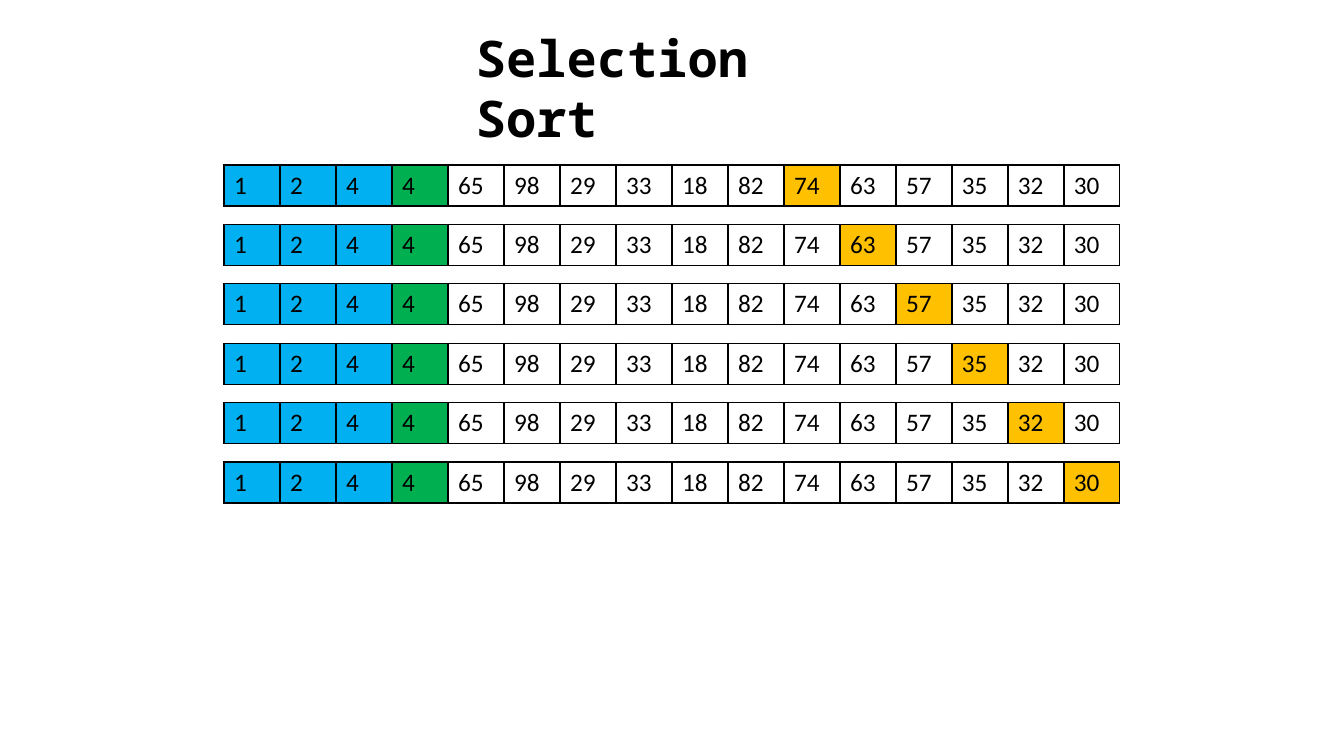
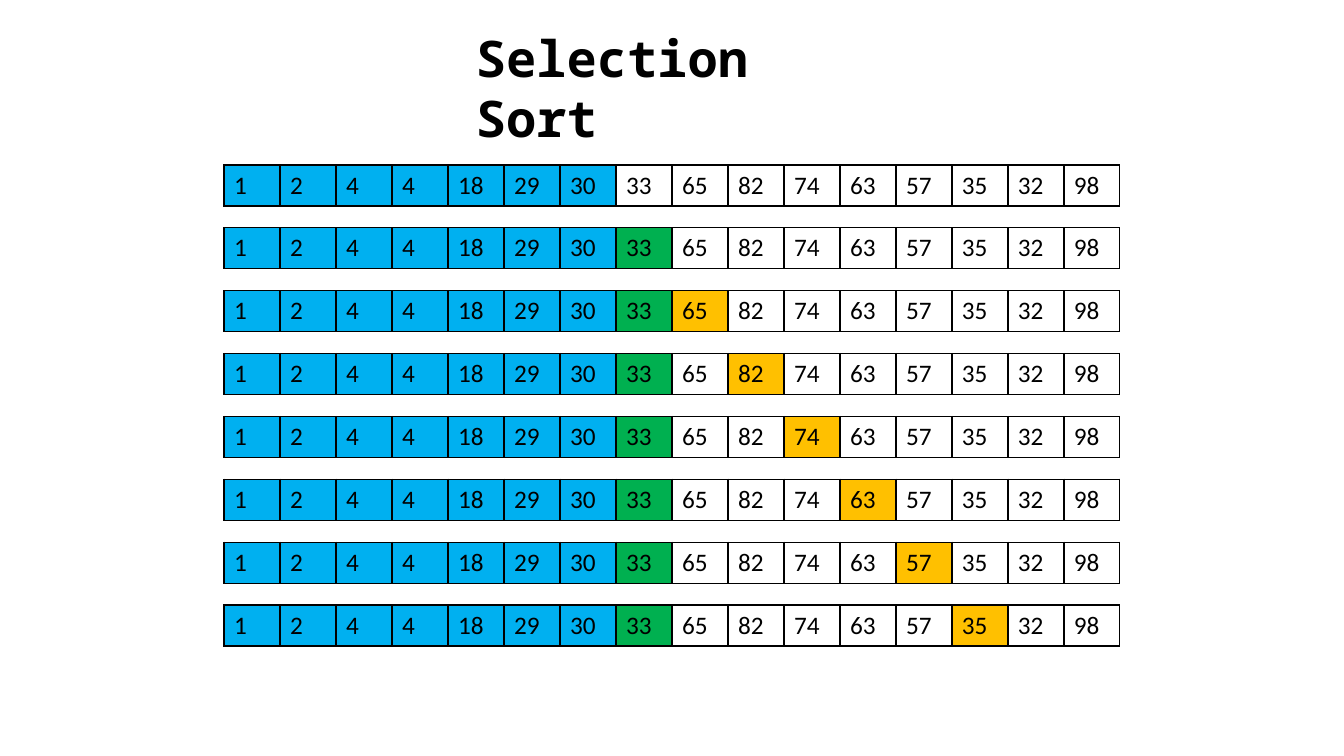
"""Build two slides that trace the steps of a selection sort."""
from dataclasses import dataclass
from typing import Optional

from lxml import etree
from pptx import Presentation
from pptx import util as u
from pptx.dml.color import RGBColor
from pptx.enum import text
from pptx.oxml.ns import qn
from pptx.slide import Slide
from pptx.table import _Cell

BLACK = RGBColor(0x00, 0x00, 0x00)
WHITE = RGBColor(0xFF, 0xFF, 0xFF)
BLUE = RGBColor(0x00, 0xB0, 0xF0)
GREEN = RGBColor(0x00, 0xB0, 0x50)
GOLD = RGBColor(0xFF, 0xC0, 0x00)

SCALE = 914400 / 100.8
LEFT, TOP, CELL, ROW = 224, 165, 56, 41


@dataclass(frozen=True)
class Step:
    """The least item so far and the item being compared, by index."""
    least: Optional[int] = None
    scan: Optional[int] = None


@dataclass(frozen=True)
class Trace:
    """One slide: the list, its sorted count, its steps and the last top."""
    items: tuple[int, ...]
    done: int
    steps: tuple[Step, ...]
    last: int


TRACES = (
    Trace((1, 2, 4, 4, 65, 98, 29, 33, 18, 82, 74, 63, 57, 35, 32, 30), 3,
          tuple(Step(3, scan) for scan in range(10, 16)), 462),
    Trace((1, 2, 4, 4, 18, 29, 30, 33, 65, 82, 74, 63, 57, 35, 32, 98), 7,
          (Step(), Step(7), *(Step(7, scan) for scan in range(8, 14))), 605),
)


def px(size: float) -> u.Emu:
    """Turn pixels into EMU."""
    return u.Emu(round(size * SCALE))


def title(slide: Slide) -> None:
    """Draw the shared title."""
    box = slide.shapes.add_textbox(px(466), px(22), px(412), px(71))
    frame = box.text_frame
    frame.word_wrap = True
    frame.auto_size = text.MSO_AUTO_SIZE.SHAPE_TO_FIT_TEXT
    para = frame.paragraphs[0]
    para.text = "Selection Sort"
    font = para.font
    font.name, font.size, font.bold = "Noto Sans Mono", u.Pt(36), True
    font.color.rgb = BLACK


def border(cell: _Cell) -> None:
    """Draw a thin black line on each side of a cell."""
    props = cell._tc.get_or_add_tcPr()
    for spot, side in enumerate(("lnL", "lnR", "lnT", "lnB")):
        line = etree.Element(qn(f"a:{side}"), w=str(u.Pt(1)))
        fill = etree.SubElement(line, qn("a:solidFill"))
        etree.SubElement(fill, qn("a:srgbClr"), val=str(BLACK))
        props.insert(spot, line)


def shade(index: int, done: int, step: Step) -> RGBColor:
    """Pick the fill of one item."""
    if index < done:
        return BLUE
    if index == step.least:
        return GREEN
    return GOLD if index == step.scan else WHITE


def strip(slide: Slide, trace: Trace, step: Step, top: float) -> None:
    """Draw the list at one step as a table of one row."""
    count = len(trace.items)
    table = slide.shapes.add_table(
        1, count, px(LEFT), px(top), px(CELL * count), px(ROW)).table
    table.first_row = table.horz_banding = False
    for index, item in enumerate(trace.items):
        table.columns[index].width = px(CELL)
        cell = table.cell(0, index)
        cell.fill.solid()
        cell.fill.fore_color.rgb = shade(index, trace.done, step)
        border(cell)
        para = cell.text_frame.paragraphs[0]
        para.text = str(item)
        para.font.name, para.font.size = "Calibri", u.Pt(18)
        para.font.color.rgb = BLACK


def main() -> None:
    """Build and save the deck."""
    deck = Presentation()
    deck.slide_width, deck.slide_height = px(1344), px(756)
    for trace in TRACES:
        slide = deck.slides.add_slide(deck.slide_layouts[6])
        title(slide)
        pitch = (trace.last - TOP) / (len(trace.steps) - 1)
        for row, step in enumerate(trace.steps):
            strip(slide, trace, step, TOP + row * pitch)
    deck.save("out.pptx")


main()
